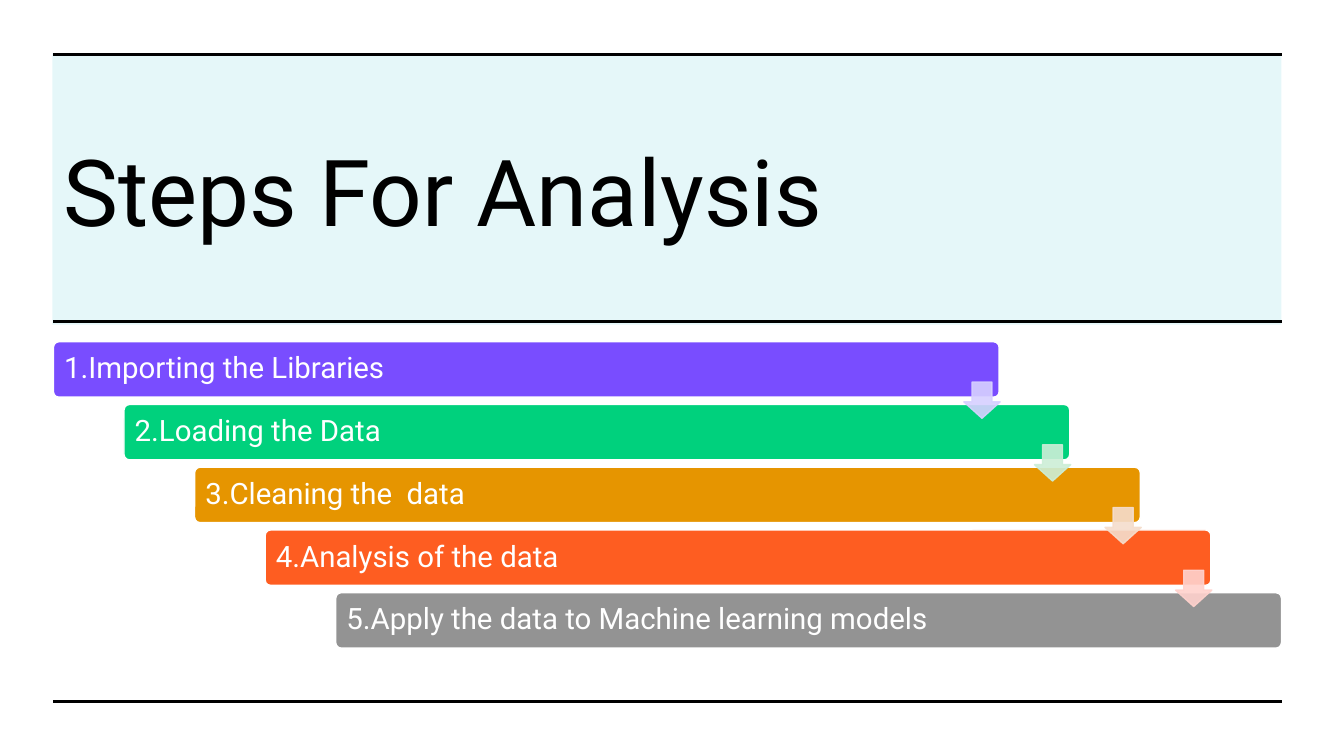
from dataclasses import dataclass

from lxml import etree
from pptx import Presentation
from pptx.dml.color import RGBColor
from pptx.enum.shapes import MSO_CONNECTOR as Connector, MSO_SHAPE as Shape
from pptx.enum.text import MSO_ANCHOR as Anchor, PP_ALIGN as Align
from pptx.oxml.ns import qn
from pptx.util import Inches, Pt


@dataclass(frozen=True)
class Theme:
    font: str = "Roboto"
    ink: str = "000000"
    paper: str = "FFFFFF"
    banner: str = "00BAC8"
    title_size: int = 66
    step_size: int = 21
    outline: float = 1
    rule: float = 2.25


class SlideBuilder:
    def __init__(self, slide, theme):
        self.slide = slide
        self.theme = theme

    def paint(self, fill, color, opacity=100):
        fill.solid()
        fill.fore_color.rgb = RGBColor.from_string(color)
        if opacity < 100:
            rgb = fill._xPr.find(qn("a:solidFill")).find(qn("a:srgbClr"))
            etree.SubElement(rgb, qn("a:alpha"), val=str(opacity * 1000))

    def set_text(self, frame, text, size, color):
        frame.word_wrap = True
        frame.vertical_anchor = Anchor.MIDDLE
        paragraph = frame.paragraphs[0]
        paragraph.text = text
        paragraph.alignment = Align.LEFT
        paragraph.font.name = self.theme.font
        paragraph.font.size = Pt(size)
        paragraph.font.color.rgb = RGBColor.from_string(color)
        return paragraph

    def shape(self, kind, box, fill, line=None, opacity=100, adjustments=()):
        shape = self.slide.shapes.add_shape(kind, *map(Inches, box))
        shape.shadow.inherit = False
        for index, value in enumerate(adjustments):
            shape.adjustments[index] = value
        self.paint(shape.fill, fill, opacity)
        if line:
            shape.line.width = Pt(self.theme.outline)
            self.paint(shape.line.fill, line, opacity)
        else:
            shape.line.fill.background()
        return shape

    def title(self, text, box):
        frame = self.slide.shapes.add_textbox(*map(Inches, box)).text_frame
        self.set_text(frame, text, self.theme.title_size, self.theme.ink)

    def rule(self, left, right, y):
        rule = self.slide.shapes.add_connector(
            Connector.STRAIGHT, Inches(left), Inches(y), Inches(right), Inches(y))
        rule.line.width = Pt(self.theme.rule)
        rule.line.color.rgb = RGBColor.from_string(self.theme.ink)
        etree.SubElement(rule._element.spPr, qn("a:effectLst"))

    def step(self, text, box, fill):
        bar = self.shape(Shape.ROUNDED_RECTANGLE, box, fill, self.theme.paper,
                         adjustments=[0.1])
        frame = bar.text_frame
        frame.margin_left = frame.margin_right = Inches(0.09)
        frame.margin_top = frame.margin_bottom = Inches(0.09)
        label = self.set_text(frame, text, self.theme.step_size, self.theme.paper)
        label.line_spacing = 0.9

    def arrow(self, box, color):
        self.shape(Shape.DOWN_ARROW, box, color, color, opacity=90,
                   adjustments=[0.55, 0.45])


presentation = Presentation()
presentation.slide_width = Inches(13.33)
presentation.slide_height = Inches(7.5)
blank = presentation.slide_layouts[6]
theme = Theme()
builder = SlideBuilder(presentation.slides.add_slide(blank), theme)

# Title banner and rules
LEFT, RIGHT = 0.53, 12.72
builder.shape(Shape.RECTANGLE, (0.52, 0.53, 12.19, 2.69), theme.banner, opacity=10)
builder.title("Steps For Analysis", (LEFT, 1.07, 11.33, 1.63))
for rule_y in (0.54, 3.19, 6.96):
    builder.rule(LEFT, RIGHT, rule_y)

# Staircase of steps
STEPS = [
    ("1.Importing the Libraries", "794DFF"),
    ("2.Loading the Data", "00D17D"),
    ("3.Cleaning the\u00a0 data", "E69500"),
    ("4.Analysis of the data", "FE5D21"),
    ("5.Apply the data to Machine learning models", "939393"),
]
FIRST_TOP, LAST_TOP = 3.39, 5.88
SHIFT = 0.7
DROP = (LAST_TOP - FIRST_TOP) / (len(STEPS) - 1)
for index, (text, fill) in enumerate(STEPS):
    builder.step(text, (LEFT + index * SHIFT, FIRST_TOP + index * DROP, 9.38, 0.55), fill)

# Arrows leading from each step to the next
ARROW_COLORS = ["D7D0FF", "CCEED7", "F5DDCC", "FFD2CD"]
for index, color in enumerate(ARROW_COLORS):
    builder.arrow((9.56 + index * SHIFT, 3.79 + index * DROP, 0.36, 0.36), color)

presentation.save("out.pptx")
